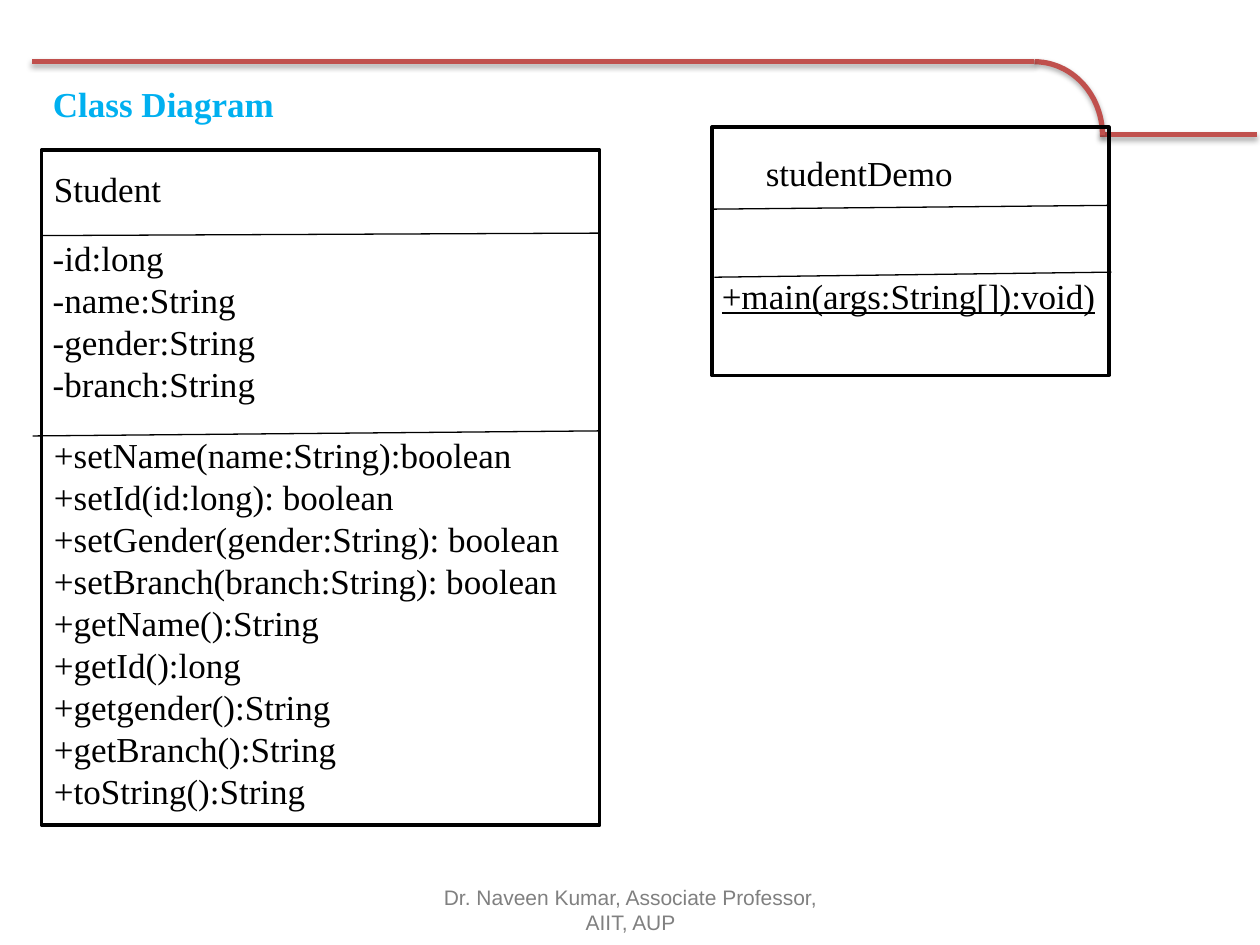
import lxml.etree
import pptx
import pptx.dml.color
import pptx.enum.shapes
import pptx.enum.text
import pptx.oxml.ns
import pptx.util

Inches = pptx.util.Inches
SHAPE = pptx.enum.shapes.MSO_SHAPE
ALIGN = pptx.enum.text.PP_ALIGN
ANCHOR = pptx.enum.text.MSO_ANCHOR

BODY = {"name": "Times New Roman", "size": pptx.util.Pt(20), "bold": False}
TITLE = {**BODY, "bold": True}
FOOTER = {**BODY, "name": "Arial", "size": pptx.util.Pt(12)}
UNDERLINED = {**BODY, "underline": True}

ATTRIBUTES = ["-id:long", "-name:String", "-gender:String", "-branch:String"]
METHODS = [
    "+setName(name:String):boolean",
    "+setId(id:long): boolean",
    "+setGender(gender:String): boolean",
    "+setBranch(branch:String): boolean",
    "+getName():String",
    "+getId():long",
    "+getgender():String",
    "+getBranch():String",
    "+toString():String",
]


def rgb(color):
    return pptx.dml.color.RGBColor.from_string(color)


def set_effect(sp, shadow):
    """Replace the theme shadow by none, or by a soft one below."""
    qn = pptx.oxml.ns.qn
    sp_pr = sp._element.spPr
    for old in sp_pr.findall(qn("a:effectLst")):
        sp_pr.remove(old)
    effects = lxml.etree.SubElement(sp_pr, qn("a:effectLst"))
    if shadow:
        outer = lxml.etree.SubElement(effects, qn("a:outerShdw"), blurRad="40000",
                                      dist="23000", dir="5400000", rotWithShape="0")
        clr = lxml.etree.SubElement(outer, qn("a:srgbClr"), val="000000")
        lxml.etree.SubElement(clr, qn("a:alpha"), val="35000")


def set_line(sp, color, width, shadow=False):
    sp.line.color.rgb = rgb(color)
    sp.line.width = pptx.util.Pt(width)
    set_effect(sp, shadow)


def add_line(s, start, end, color="000000", width=0.75, shadow=False):
    points = [Inches(v) for v in (*start, *end)]
    sp = s.shapes.add_connector(pptx.enum.shapes.MSO_CONNECTOR.STRAIGHT, *points)
    set_line(sp, color, width, shadow)


def add_outline(s, kind, box, color="000000", width=2, shadow=False):
    sp = s.shapes.add_shape(kind, *[Inches(v) for v in box])
    sp.fill.background()
    set_line(sp, color, width, shadow)


def write(sp, lines, fmt, color="000000", align=ALIGN.LEFT, anchor=ANCHOR.TOP):
    tf = sp.text_frame
    tf.word_wrap = True
    tf.auto_size = pptx.enum.text.MSO_AUTO_SIZE.NONE
    tf.vertical_anchor = anchor
    for i, line in enumerate(lines):
        p = tf.paragraphs[0] if i == 0 else tf.add_paragraph()
        p.alignment = align
        r = p.add_run()
        r.text = line
        for key, value in fmt.items():
            setattr(r.font, key, value)
        r.font.color.rgb = rgb(color)


def add_text(s, box, lines, fmt=BODY, **options):
    sp = s.shapes.add_textbox(*[Inches(v) for v in box])
    write(sp, lines, fmt, **options)


def add_title(s, box, text):
    sp = s.shapes.title
    for key, value in zip(("left", "top", "width", "height"), box):
        setattr(sp, key, Inches(value))
    write(sp, [text], TITLE, color="00B0F0", anchor=ANCHOR.MIDDLE)


def add_header_rule(s):
    rule = {"color": "C0504D", "width": 3, "shadow": True}
    add_line(s, (8.73, 1.07), (9.98, 1.07), **rule)
    add_outline(s, SHAPE.ARC, (7.67, 0.49, 1.08, 1.17), **rule)
    add_line(s, (8.21, 0.49), (0.25, 0.49), **rule)


def add_class(s, box, dividers, texts):
    """Draw a class box with its dividing lines and compartment texts."""
    add_outline(s, SHAPE.RECTANGLE, box)
    for start, end in dividers:
        add_line(s, start, end)
    for place, lines, fmt in texts:
        add_text(s, place, lines, fmt)


def main():
    prs = pptx.Presentation()
    prs.slide_width, prs.slide_height = Inches(10), Inches(7.5)
    s = prs.slides.add_slide(prs.slide_layouts[5])

    # Header
    add_header_rule(s)
    add_title(s, (0.32, 0.46, 4.71, 0.72), "Class Diagram")

    # Student class
    add_class(
        s, (0.33, 1.19, 4.43, 5.36),
        [((0.33, 1.87), (4.76, 1.85)), ((0.26, 3.46), (4.75, 3.42))],
        [((0.33, 1.28, 2.72, 0.44), ["Student"], BODY),
         ((0.32, 1.83, 2.11, 1.78), ATTRIBUTES, BODY),
         ((0.33, 3.39, 4.43, 3.47), METHODS, BODY)])

    # Demo class
    add_class(
        s, (5.65, 1.01, 3.15, 1.97),
        [((5.66, 1.66), (8.8, 1.63)), ((5.67, 2.2), (8.82, 2.16))],
        [((5.98, 1.15, 2.21, 0.44), ["studentDemo"], BODY),
         ((5.63, 2.13, 3.89, 0.44), ["+main(args:String[]):void)"], UNDERLINED)])

    # Footer
    add_text(s, (3.42, 7.02, 3.17, 0.4),
             ["Dr. Naveen Kumar, Associate Professor, AIIT, AUP"], FOOTER,
             color="808080", align=ALIGN.CENTER, anchor=ANCHOR.MIDDLE)

    prs.save("out.pptx")


if __name__ == "__main__":
    main()
